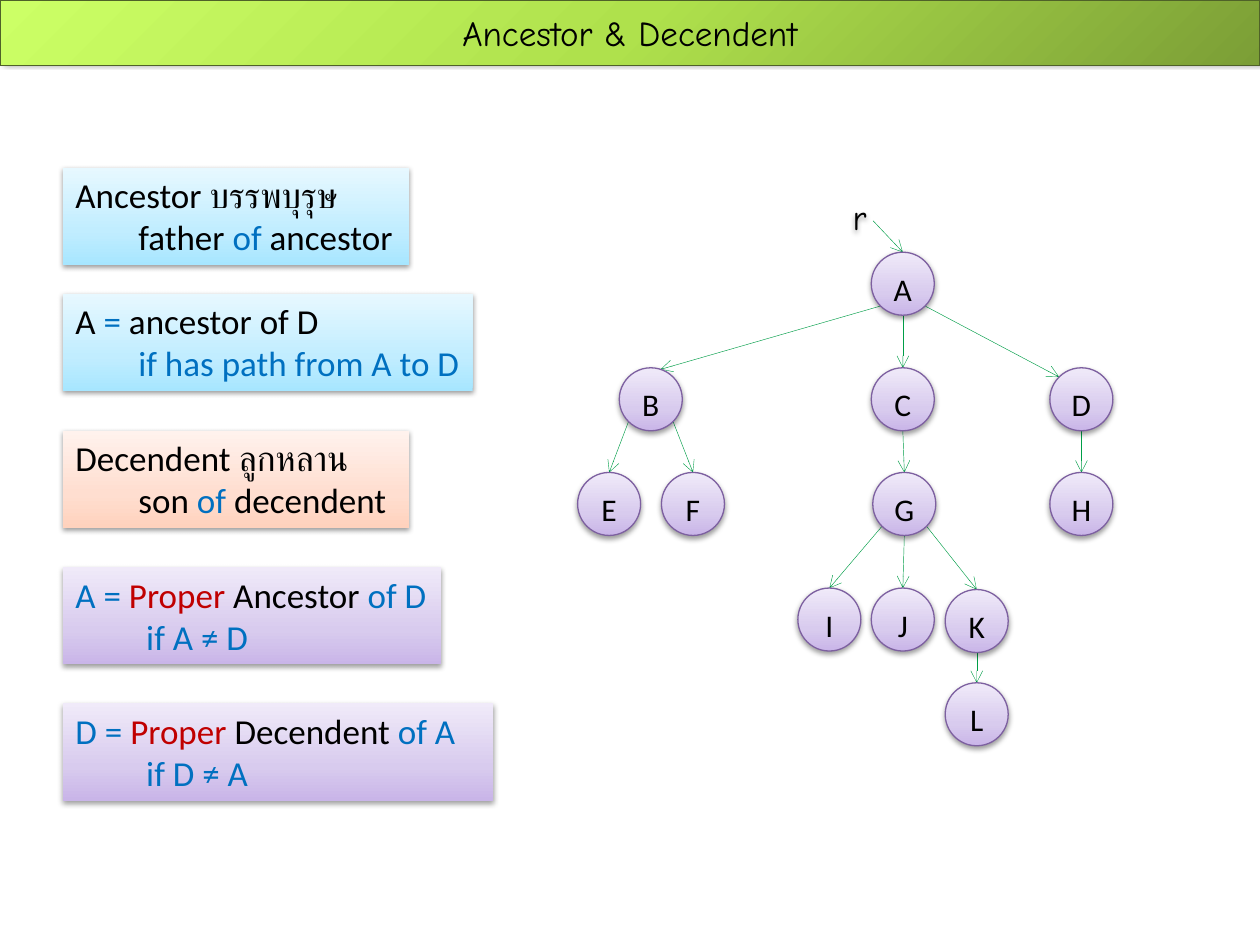
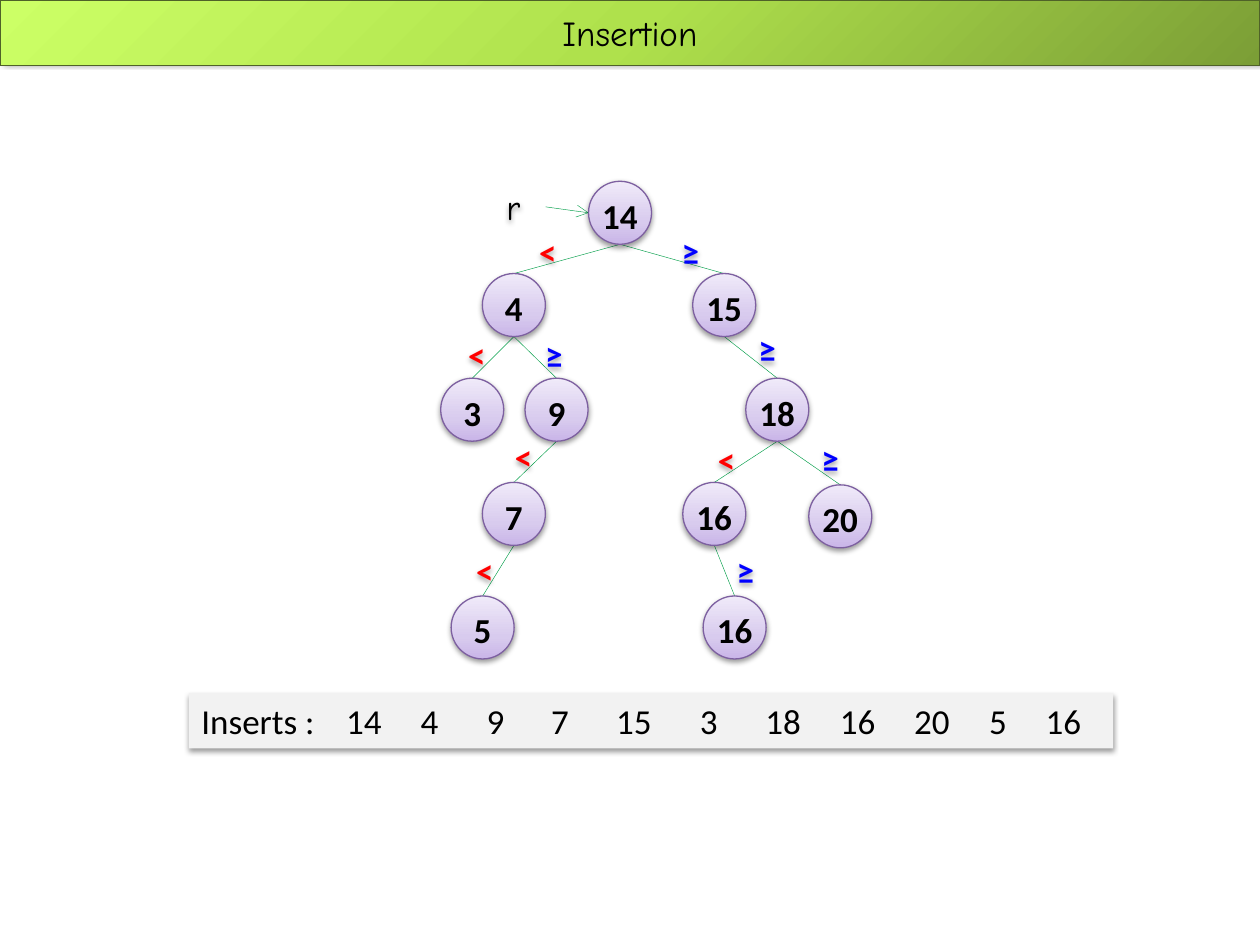
"""Build two slides about trees: ancestors and descendants, and insertion into a search tree."""
import math

from lxml import etree
from pptx import Presentation
from pptx import util as u
from pptx.dml import color as dml
from pptx.enum import shapes, text
from pptx.oxml import ns

Cm, Pt = u.Cm, u.Pt
paint = dml.RGBColor.from_string
BLACK, BLUE, RED = "000000", "0070C0", "C00000"
GREEN, LESS, MORE = "009E47", "FF0000", "0000FF"
BODY, HAND = "Calibri", "Comic Neue"
SKY = [(0, "A7E6FF"), (35, "C1EDFF"), (100, "E7F8FF")]
PEACH = [(0, "FFD2BD"), (35, "FFDED0"), (100, "FFF2ED")]
LILAC = [(0, "C9B5E8"), (35, "D8CBEE"), (100, "F0EAF9")]
LIME = [(0, "7B9E36"), (50, "AFE14C"), (100, "CCFF66")]
SOFT = (38, 3.1, 1.6, 90)
BAND = (40, 4, 3, 315)
RECT, OVAL = shapes.MSO_SHAPE.RECTANGLE, shapes.MSO_SHAPE.OVAL
TOP, MIDDLE = text.MSO_ANCHOR.TOP, text.MSO_ANCHOR.MIDDLE
RADIUS = 0.635


def add_box(page, kind, place, fill=None, edge=None, shadow=SOFT):
    """Add a shadowed shape, or a text box when kind is None."""
    place = [Cm(length) for length in place]
    if kind is None:
        box = page.shapes.add_textbox(*place)
    else:
        box = page.shapes.add_shape(kind, *place)
        if edge:
            box.line.color.rgb = paint(edge)
            box.line.width = Pt(0.75)
        else:
            box.line.fill.background()
    if isinstance(fill, str):
        box.fill.solid()
        box.fill.fore_color.rgb = paint(fill)
    elif fill:
        box.fill.gradient()
        grad = box._element.spPr.find(ns.qn("a:gradFill"))
        grad.clear()
        stops = etree.SubElement(grad, ns.qn("a:gsLst"))
        for percent, shade in fill:
            stop = etree.SubElement(stops, ns.qn("a:gs"), pos=str(percent * 1000))
            etree.SubElement(stop, ns.qn("a:srgbClr"), val=shade)
        if fill is LIME:
            sweep = etree.SubElement(grad, ns.qn("a:path"), path="circle")
            etree.SubElement(sweep, ns.qn("a:fillToRect"), l="100000", t="100000")
        else:
            etree.SubElement(grad, ns.qn("a:lin"), ang="16200000", scaled="1")
    alpha, blur, distance, angle = shadow
    box.shadow.inherit = False
    effects = box._element.spPr.find(ns.qn("a:effectLst"))
    outer = etree.SubElement(effects, ns.qn("a:outerShdw"), blurRad=str(Pt(blur)),
                             dist=str(Pt(distance)), dir=str(angle * 60000), rotWithShape="0")
    shade = etree.SubElement(outer, ns.qn("a:srgbClr"), val=BLACK)
    etree.SubElement(shade, ns.qn("a:alpha"), val=str(alpha * 1000))
    return box


def write(box, lines, size=20, face=BODY, bold=False, centred=False, anchor=TOP, hanging=0, tabs=()):
    """Write one paragraph whose lines are lists of (wording, colour)."""
    frame = box.text_frame
    frame.word_wrap = True
    frame.vertical_anchor = anchor
    para = frame.paragraphs[0]
    para.alignment = text.PP_ALIGN.CENTER if centred else text.PP_ALIGN.LEFT
    props = para._p.get_or_add_pPr()
    if hanging:
        props.set("marL", str(Cm(hanging)))
        props.set("indent", str(Cm(-hanging)))
    if tabs:
        tab_list = etree.SubElement(props, ns.qn("a:tabLst"))
        for tab in tabs:
            etree.SubElement(tab_list, ns.qn("a:tab"), pos=str(Cm(tab)), algn="l")
    para.font.size, para.font.name, para.font.bold = Pt(size), face, bold
    for number, line in enumerate(lines):
        if number:
            para.add_line_break()
        for wording, shade in line:
            span = para.add_run()
            span.text = wording
            span.font.color.rgb = paint(shade)


# Each node: label, centre x, centre y, parent index, angle at parent, angle at child.
family = [
    ("A", 18.2, 5.72, None, 0, 270),
    ("B", 13.12, 8.05, 0, 135, 288),
    ("C", 18.2, 8.05, 0, 90, 270),
    ("D", 21.8, 8.05, 0, 45, 225),
    ("E", 12.28, 10.16, 1, 135, 270),
    ("F", 13.97, 10.16, 1, 45, 270),
    ("G", 18.23, 10.16, 2, 90, 270),
    ("H", 21.8, 10.16, 3, 90, 270),
    ("I", 16.72, 12.49, 6, 135, 270),
    ("J", 18.2, 12.49, 6, 90, 270),
    ("K", 19.69, 12.52, 6, 45, 270),
    ("L", 19.69, 14.4, 10, 90, 270),
]
search = [
    ("14", 12.5, 4.29, None, 0, 180),
    ("4", 10.36, 6.15, 0, 90, 270),
    ("15", 14.6, 6.15, 0, 90, 270),
    ("3", 9.52, 8.26, 1, 90, 270),
    ("9", 11.22, 8.26, 1, 90, 270),
    ("18", 15.67, 8.26, 2, 90, 270),
    ("7", 10.36, 10.36, 4, 90, 270),
    ("16", 14.4, 10.36, 5, 90, 270),
    ("20", 16.94, 10.41, 5, 90, 270),
    ("5", 9.73, 12.65, 6, 90, 270),
    ("16", 14.81, 12.65, 7, 90, 270),
]
definitions = [
    (3.38, 6.98, SKY, [[("Ancestor บรรพบุรุษ", BLACK)],
                       [("father ", BLACK), ("of ", BLUE), ("ancestor", BLACK)]]),
    (5.92, 8.26, SKY, [[("A ", BLACK), ("= ", BLUE), ("ancestor of D", BLACK)],
                       [("if has path from A to D", BLUE)]]),
    (8.68, 6.98, PEACH, [[("Decendent ลูกหลาน", BLACK)],
                         [("son ", BLACK), ("of ", BLUE), ("decendent", BLACK)]]),
    (11.43, 7.62, LILAC, [[("A = ", BLUE), ("Proper", RED), (" Ancestor ", BLACK), ("of D", BLUE)],
                          [(" if A ≠ D", BLUE)]]),
    (14.18, 8.68, LILAC, [[("D = ", BLUE), ("Proper", RED), (" Decendent ", BLACK), ("of A", BLUE)],
                          [(" if D ≠ A", BLUE)]]),
]
signs = [
    ("<", LESS, [(10.62, 4.52), (9.19, 6.6), (10.13, 8.66), (14.22, 8.71), (9.35, 10.95)]),
    ("≥", MORE, [(13.49, 4.52), (10.74, 6.6), (15.04, 6.48), (16.31, 8.69), (14.6, 10.95)]),
]
inserts = ["Inserts :", "14", "4", "9", "7", "15", "3", "18", "16", "20", "5", "16"]
insert_tabs = [2.92, 4.42, 5.75, 7.05, 8.36, 10.05, 11.37, 12.87, 14.37, 15.88, 17.02]

# Title, nodes, label place of r, start of r's arrow, arrows on edges, label size, bold, top inset.
trees = [
    ("Ancestor & Decendent", family, (16.94, 3.81), (17.6, 4.45), True, 18, False, 0.2),
    ("Insertion", search, (9.96, 3.61), (11, 4.17), False, 20, True, 0.1),
]

deck = Presentation()
deck.slide_width, deck.slide_height = Cm(25.4), Cm(19.05)
pages = []
for title, nodes, root_place, root_start, arrows, size, bold, inset in trees:
    page = deck.slides.add_slide(deck.slide_layouts[6])
    pages.append(page)
    band = add_box(page, RECT, (0, 0, 25.4, 1.32), LIME, "4F6228", BAND)
    write(band, [[(title, BLACK)]], face=HAND, centred=True, anchor=MIDDLE)
    root = add_box(page, None, (*root_place, 1.05, 1.12))
    write(root, [[("r", BLACK)]], face=HAND, hanging=1.27)

    for label, x, y, parent, leave, arrive in nodes:
        if parent is None:
            start = root_start
        else:
            start = (nodes[parent][1] + RADIUS * math.cos(math.radians(leave)),
                     nodes[parent][2] + RADIUS * math.sin(math.radians(leave)))
        end = (x + RADIUS * math.cos(math.radians(arrive)),
               y + RADIUS * math.sin(math.radians(arrive)))
        edge = page.shapes.add_connector(shapes.MSO_CONNECTOR.STRAIGHT,
                                         *[Cm(length) for length in (*start, *end)])
        edge.line.color.rgb = paint(GREEN)
        edge.line.width = Pt(0.25)
        if arrows or parent is None:
            etree.SubElement(edge.line._get_or_add_ln(), ns.qn("a:tailEnd"), type="arrow")
        etree.SubElement(edge._element.spPr, ns.qn("a:effectLst"))

    for label, x, y, *_ in nodes:
        node = add_box(page, OVAL, (x - RADIUS, y - RADIUS, 2 * RADIUS, 2 * RADIUS), LILAC, "7D60A0")
        frame = node.text_frame
        frame.margin_left = frame.margin_right = frame.margin_bottom = 0
        frame.margin_top = Cm(inset)
        write(node, [[(label, BLACK)]], size, bold=bold, centred=True, anchor=MIDDLE)

ancestor_page, insertion_page = pages
for top, width, fill, lines in definitions:
    card = add_box(ancestor_page, RECT, (1.27, top, width, 1.96), fill)
    write(card, lines, hanging=1.27)

for sign, shade, places in signs:
    for place in places:
        mark = add_box(insertion_page, None, (*place, 1, 1.12))
        write(mark, [[(sign, shade)]], bold=True)

strip = add_box(insertion_page, RECT, (3.81, 13.97, 18.63, 1.12), "F2F2F2")
write(strip, [[("\t".join(inserts), BLACK)]], tabs=insert_tabs)

deck.save("out.pptx")
